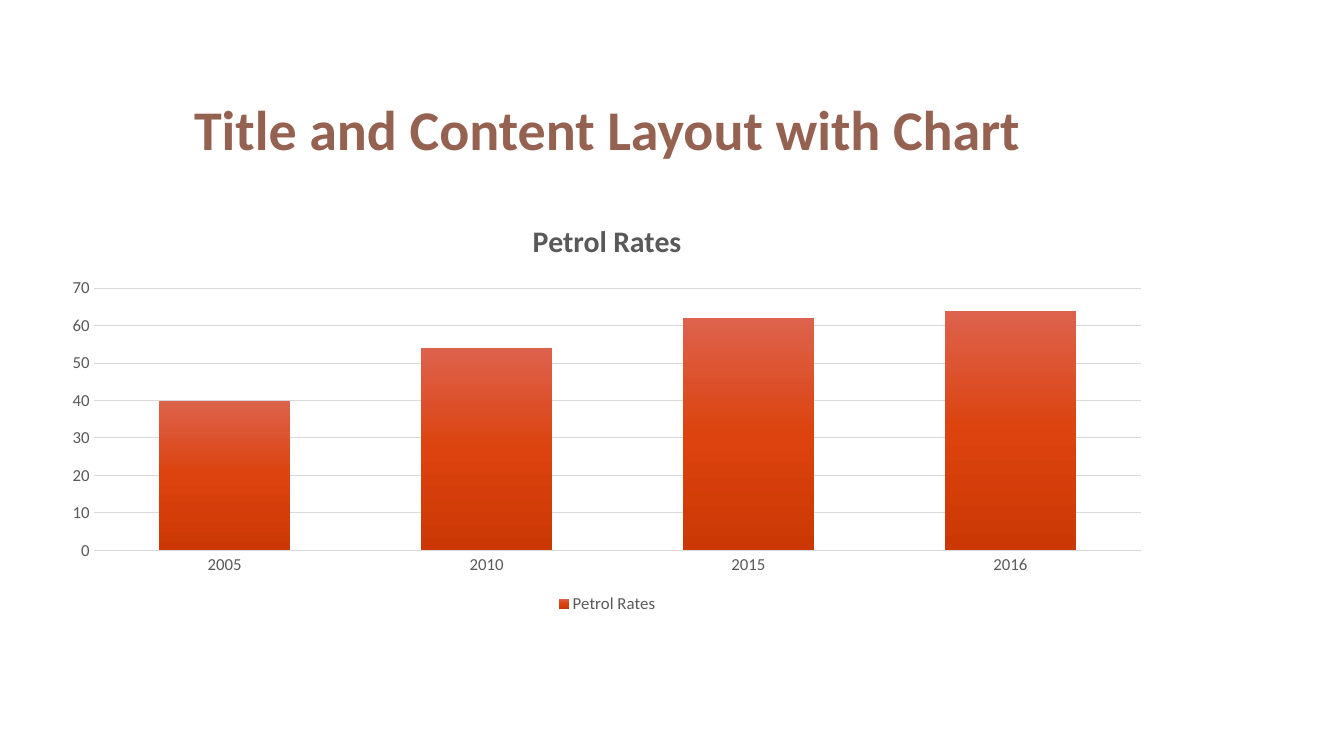
from lxml import etree
from pptx import Presentation
from pptx import util as u
from pptx.chart.data import CategoryChartData
from pptx.dml.color import RGBColor
from pptx.enum import chart as ch, text
from pptx.oxml import ns

FONT = "Calibri"
BROWN = RGBColor(0x95, 0x62, 0x51)
GREY = RGBColor(0x59, 0x59, 0x59)
RULE = RGBColor(0xD9, 0xD9, 0xD9)
BLACK = RGBColor(0, 0, 0)
BAR_STOPS = (
    (0, RGBColor(0xDD, 0x62, 0x4D)),
    (50, RGBColor(0xDC, 0x43, 0x0E)),
    (100, RGBColor(0xCC, 0x38, 0x04)),
)

WIDTH, HEIGHT = u.Inches(13.33), u.Inches(7.5)
LEFT, SPAN = u.Inches(0.5), u.Inches(11.04)
RATES = {"2005": 40, "2010": 54, "2015": 62, "2016": 64}
SERIES_NAME = "Petrol Rates"


def style_font(font, size, color, bold=False):
    font.name = FONT
    font.size = u.Pt(size)
    font.bold = bold
    font.color.rgb = color


def add_run(p, words, size, color, bold=False):
    r = p.add_run()
    r.text = words
    style_font(r.font, size, color, bold)


def style_line(line, width):
    line.color.rgb = RULE
    line.width = u.Pt(width)


def set_vertical_gradient(series, stops):
    series.format.fill.solid()
    sp_pr = series.format.fill._xPr
    solid = sp_pr.find(ns.qn("a:solidFill"))
    grad = etree.Element(ns.qn("a:gradFill"), rotWithShape="1")
    stop_list = etree.SubElement(grad, ns.qn("a:gsLst"))
    for share, color in stops:
        stop = etree.SubElement(stop_list, ns.qn("a:gs"), pos=str(share * 1000))
        etree.SubElement(stop, ns.qn("a:srgbClr"), val=str(color))
    etree.SubElement(grad, ns.qn("a:lin"), ang="5400000", scaled="0")
    sp_pr.replace(solid, grad)


def set_title(s, words):
    title = s.shapes.title
    title.left, title.top = LEFT, u.Inches(0.7)
    title.width, title.height = SPAN, u.Inches(1.26)
    tf = title.text_frame
    tf.word_wrap = True
    tf.auto_size = text.MSO_AUTO_SIZE.NONE
    tf.vertical_anchor = text.MSO_ANCHOR.MIDDLE
    p = tf.paragraphs[0]
    p.alignment = text.PP_ALIGN.CENTER
    p.line_spacing = u.Pt(40)
    add_run(p, words, 40, BROWN, True)


def style_axis(axis):
    axis.major_tick_mark = ch.XL_TICK_MARK.NONE
    axis.minor_tick_mark = ch.XL_TICK_MARK.NONE
    style_font(axis.tick_labels.font, 12, GREY)


def add_rates_chart(s):
    data = CategoryChartData()
    data.categories = list(RATES)
    data.add_series(SERIES_NAME, list(RATES.values()))
    chart = s.shapes.add_chart(
        ch.XL_CHART_TYPE.COLUMN_CLUSTERED,
        LEFT, u.Inches(2), SPAN, u.Inches(4.13), data,
    ).chart
    style_font(chart.font, 10, BLACK)

    chart.has_title = True
    add_run(chart.chart_title.text_frame.paragraphs[0], SERIES_NAME, 21.3, GREY, True)
    chart.chart_title.include_in_layout = False

    chart.has_legend = True
    chart.legend.position = ch.XL_LEGEND_POSITION.BOTTOM
    chart.legend.include_in_layout = False
    style_font(chart.legend.font, 12, GREY)

    years, rates = chart.category_axis, chart.value_axis
    style_axis(years)
    style_line(years.format.line, 1)
    style_axis(rates)
    rates.format.line.fill.background()
    rates.minimum_scale, rates.maximum_scale, rates.major_unit = 0, 70, 10
    rates.has_major_gridlines = True
    style_line(rates.major_gridlines.format.line, 0.75)

    plot = chart.plots[0]
    plot.vary_by_categories = False
    plot.gap_width, plot.overlap = 100, -24
    set_vertical_gradient(plot.series[0], BAR_STOPS)


def main():
    prs = Presentation()
    prs.slide_width, prs.slide_height = WIDTH, HEIGHT
    s = prs.slides.add_slide(prs.slide_layouts[5])
    set_title(s, "Title and Content Layout with Chart")
    add_rates_chart(s)
    prs.save("out.pptx")


if __name__ == "__main__":
    main()
